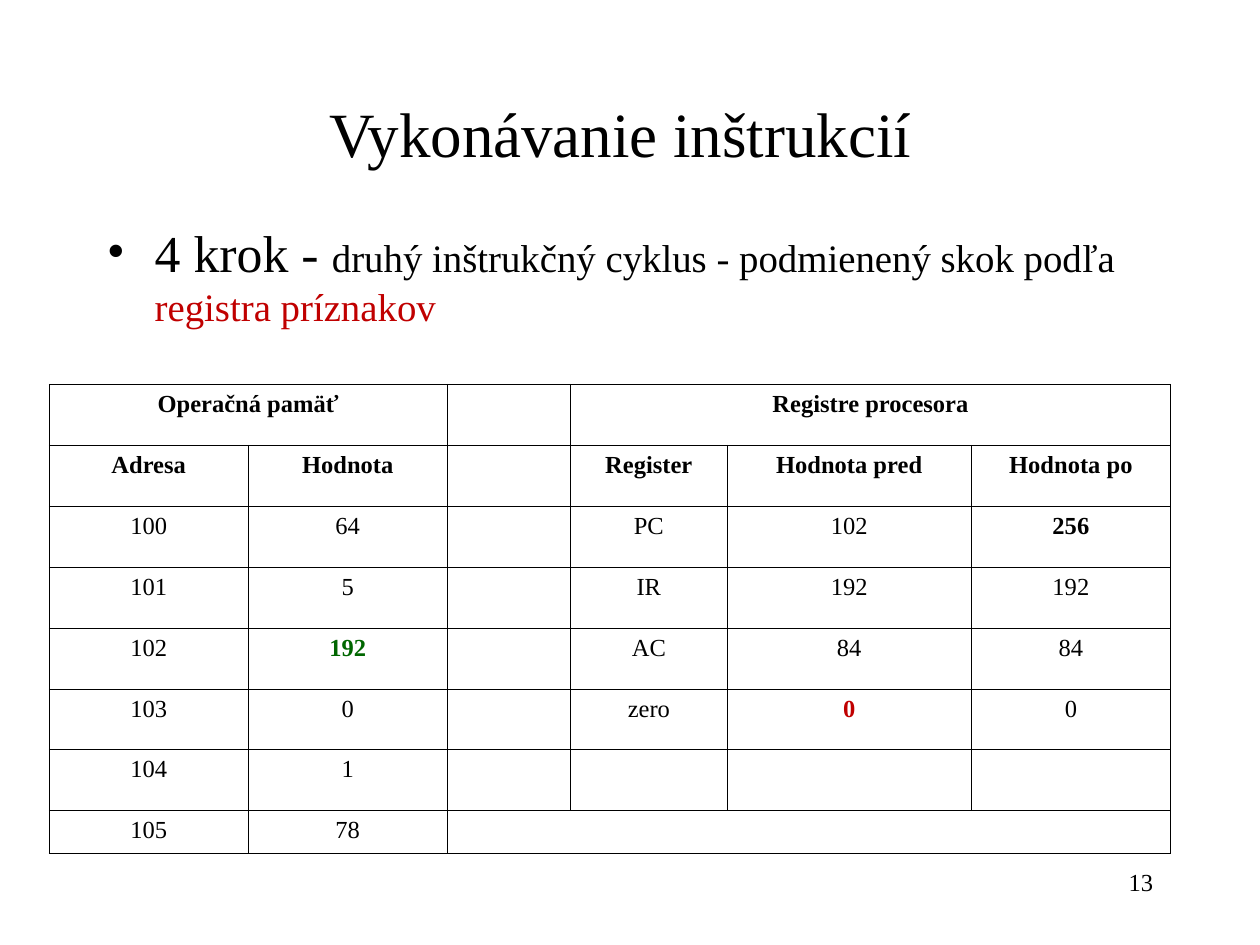
from dataclasses import dataclass

from lxml import etree
from pptx import Presentation
from pptx import util as u
from pptx.dml.color import RGBColor
from pptx.enum import text
from pptx.oxml import ns

FONT = "Times New Roman"
BLACK = RGBColor(0x00, 0x00, 0x00)
RED = RGBColor(0xC0, 0x00, 0x00)
GREEN = RGBColor(0x00, 0x66, 0x00)

CELL_SIZE = 14
BLANK_SIZE = 23  # empty cells set the height of the taller rows
BORDER = 0.45
COLUMN_WIDTHS = [1.58, 1.58, 0.98, 1.24, 1.94, 1.58]
ROW_HEIGHT = 0.34


@dataclass
class Mark:
    """Emphasis of one table cell."""
    bold: bool = True
    color: RGBColor = BLACK


ROWS = [
    ["Operačná pamäť", "", "", "Registre procesora", "", ""],
    ["Adresa", "Hodnota", "", "Register", "Hodnota pred", "Hodnota po"],
    ["100", "64", "", "PC", "102", "256"],
    ["101", "5", "", "IR", "192", "192"],
    ["102", "192", "", "AC", "84", "84"],
    ["103", "0", "", "zero", "0", "0"],
    ["104", "1", "", "", "", ""],
    ["105", "78", "", "", "", ""],
]
HEADER_ROWS = 2
MARKS = {(2, 5): Mark(), (4, 1): Mark(color=GREEN), (5, 4): Mark(color=RED)}
MERGES = [((0, 0), (0, 1)), ((0, 3), (0, 5)), ((7, 2), (7, 5))]


def add_text(para, content: str, *, size: float, bold: bool = False,
             color: RGBColor = BLACK) -> None:
    span = para.add_run()
    span.text = content
    span.font.name = FONT
    span.font.size = u.Pt(size)
    span.font.bold = bold
    span.font.color.rgb = color


def add_box(slide, left: float, top: float, width: float, height: float):
    """Add a wrapping text box and return its first paragraph."""
    box = slide.shapes.add_textbox(*map(u.Inches, (left, top, width, height)))
    box.text_frame.word_wrap = True
    return box.text_frame.paragraphs[0]


def add_bullet(para, indent: float) -> None:
    props = para._p.get_or_add_pPr()
    props.set("marL", str(u.Inches(indent)))
    props.set("indent", str(-u.Inches(indent)))
    color = etree.SubElement(props, ns.qn("a:buClr"))
    etree.SubElement(color, ns.qn("a:srgbClr"), val=str(BLACK))
    etree.SubElement(props, ns.qn("a:buFont"), typeface=FONT)
    etree.SubElement(props, ns.qn("a:buChar"), char="•")


def set_borders(cell) -> None:
    props = cell._tc.get_or_add_tcPr()
    for index, side in enumerate(("lnL", "lnR", "lnT", "lnB")):
        line = etree.Element(ns.qn(f"a:{side}"), w=str(u.Pt(BORDER)))
        fill = etree.SubElement(line, ns.qn("a:solidFill"))
        etree.SubElement(fill, ns.qn("a:srgbClr"), val=str(BLACK))
        props.insert(index, line)


def set_blank_size(para, size: float) -> None:
    end = etree.SubElement(para._p, ns.qn("a:endParaRPr"), sz=str(size * 100))
    etree.SubElement(end, ns.qn("a:latin"), typeface=FONT)


def add_register_table(slide, left: float, top: float) -> None:
    frame = slide.shapes.add_table(
        len(ROWS), len(COLUMN_WIDTHS), u.Inches(left), u.Inches(top),
        u.Inches(sum(COLUMN_WIDTHS)), u.Inches(ROW_HEIGHT * len(ROWS)))
    table = frame.table
    table.first_row = table.horz_banding = False
    for column, width in zip(table.columns, COLUMN_WIDTHS):
        column.width = u.Inches(width)
    for row in table.rows:
        row.height = u.Inches(ROW_HEIGHT)
    for first, last in MERGES:
        table.cell(*first).merge(table.cell(*last))

    for r, values in enumerate(ROWS):
        for c, value in enumerate(values):
            cell = table.cell(r, c)
            cell.fill.background()
            set_borders(cell)
            para = cell.text_frame.paragraphs[0]
            para.alignment = text.PP_ALIGN.CENTER
            if value:
                mark = MARKS.get((r, c), Mark(bold=r < HEADER_ROWS))
                add_text(para, value, size=CELL_SIZE, bold=mark.bold,
                         color=mark.color)
            else:
                merged = cell.is_spanned or cell.is_merge_origin
                set_blank_size(para, CELL_SIZE if merged else BLANK_SIZE)


def main() -> None:
    deck = Presentation()
    deck.slide_width, deck.slide_height = u.Inches(10), u.Inches(7.5)
    slide = deck.slides.add_slide(deck.slide_layouts[5])

    # Title
    title = slide.shapes.title
    title.left, title.top = u.Inches(0.75), u.Inches(0.67)
    title.width, title.height = u.Inches(8.5), u.Inches(0.67)
    title.text_frame.auto_size = text.MSO_AUTO_SIZE.NONE
    title.text_frame.vertical_anchor = text.MSO_ANCHOR.MIDDLE
    para = title.text_frame.paragraphs[0]
    para.alignment = text.PP_ALIGN.CENTER
    add_text(para, "Vykonávanie inštrukcií", size=36)
    add_text(para, " ", size=44)

    # Step description
    para = add_box(slide, 0.75, 1.7, 8.5, 1)
    add_bullet(para, 0.38)
    add_text(para, "4 krok - ", size=29.6)
    add_text(para, "druhý inštrukčný cyklus - podmienený skok podľa ", size=22.2)
    add_text(para, "registra príznakov", size=22.2, color=RED)

    # Memory and processor registers
    add_register_table(slide, 0.39, 3.05)

    # Slide number
    para = add_box(slide, 7.17, 6.83, 2.08, 0.5)
    para.alignment = text.PP_ALIGN.RIGHT
    add_text(para, "13", size=14)

    deck.save("out.pptx")


if __name__ == "__main__":
    main()
